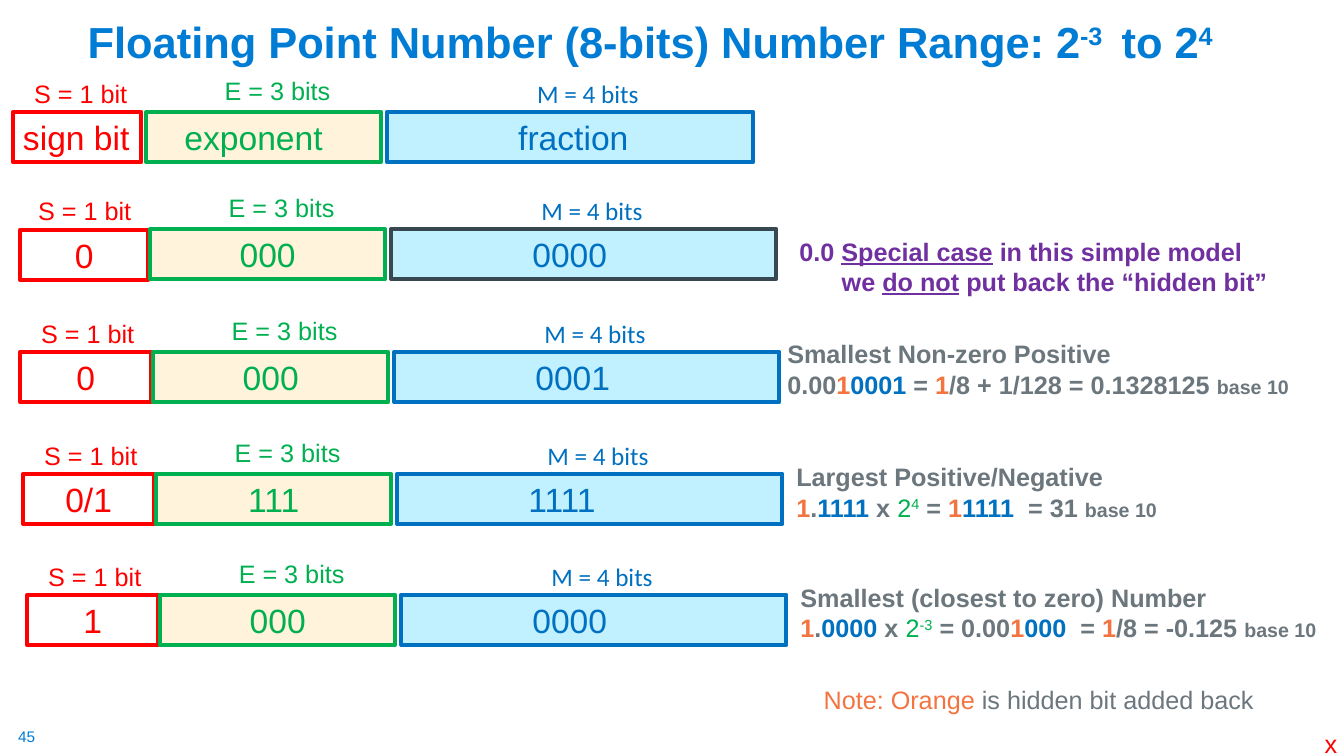
from pptx import Presentation, util as u
from pptx.dml.color import RGBColor
from pptx.enum import shapes as sh, text as tx

PX = 9144  # EMU per px, 100 px to the inch
INK = {
    "title": "007CD5", "red": "FF0000", "green": "00B050", "blue": "0070C0",
    "dark": "384851", "gray": "6B767D", "orange": "F37440", "violet": "7030A0",
    "cream": "FFF4DB", "sky": "C1F0FF",
}
BASE = ("base 10", "gray", "small")


def ink(name):
    return RGBColor.from_string(INK[name])


class Deck:
    def __init__(self, wide, high):
        self.prs = Presentation()
        self.prs.slide_width, self.prs.slide_height = wide * PX, high * PX
        self.slide = self.prs.slides.add_slide(self.prs.slide_layouts[5])
        self.home = self.slide.shapes

    def group(self):
        """Send the next shapes into a new group."""
        self.home = self.slide.shapes.add_group_shape().shapes

    def free(self):
        """Send the next shapes straight onto the slide."""
        self.home = self.slide.shapes

    def fill(self, frame, lines, size, face="Arial", bold=False, align="LEFT"):
        """Fill a frame with lines of (text, colour, marks) runs."""
        for i, line in enumerate(lines):
            para = frame.add_paragraph() if i else frame.paragraphs[0]
            para.alignment = getattr(tx.PP_ALIGN, align)
            for words, hue, *marks in line:
                run = para.add_run()
                run.text = words
                font = run.font
                font.name, font.color.rgb = face, ink(hue)
                font.size = u.Pt(14 if "small" in marks else size)
                font.bold = bold and "light" not in marks
                font.underline = "under" in marks
                if "super" in marks:
                    run._r.get_or_add_rPr().set("baseline", "30000")

    def title(self, spot, line):
        head = self.slide.shapes.title
        head.left, head.top, head.width, head.height = (n * PX for n in spot)
        frame = head.text_frame
        frame.word_wrap = True
        frame.auto_size = tx.MSO_AUTO_SIZE.NONE
        frame.vertical_anchor = tx.MSO_ANCHOR.BOTTOM
        self.fill(frame, [line], 31, bold=True)
        frame.paragraphs[0].line_spacing = 0.9

    def box(self, spot, words, hue, back=None, edge=None, pad=None):
        """Draw a bit field; pad sets a left inset in place of centring."""
        rect = self.home.add_shape(sh.MSO_SHAPE.RECTANGLE, *(n * PX for n in spot))
        rect.shadow.inherit = False
        if back:
            rect.fill.solid()
            rect.fill.fore_color.rgb = ink(back)
        else:
            rect.fill.background()
        rect.line.color.rgb = ink(edge or hue)
        rect.line.width = u.Pt(2.75)
        frame = rect.text_frame
        frame.word_wrap = True
        frame.vertical_anchor = tx.MSO_ANCHOR.MIDDLE
        if pad:
            frame.margin_left = pad * PX
        self.fill(frame, [[(words, hue)]], 24, align="LEFT" if pad else "CENTER")

    def text(self, spot, lines, size=18, wrap=True, inset=10, **style):
        area = self.home.add_textbox(*(n * PX for n in spot))
        frame = area.text_frame
        frame.word_wrap = wrap
        frame.margin_left = frame.margin_right = inset * PX
        frame.margin_top = frame.margin_bottom = inset // 2 * PX
        self.fill(frame, lines, size, **style)
        return frame

    def row(self, x, y, sign, power, part, wide):
        """Draw three fields and their labels; x is the exponent's left edge."""
        self.group()
        self.box((*sign[:3], 50), sign[3], "red", pad=sign[4])
        self.box((x, y, 233, 50), power[0], "green", "cream", pad=power[1])
        self.box((x + 239, y, wide, 50), part[0], "blue", "sky", part[1], part[2])
        for name, dx, dy, span, hue, face in LABELS:
            self.text((x + dx, y + dy, span, 40), [[(name, hue)]], wrap=False, face=face)


LABELS = [
    ("S = 1 bit", -121, -38, 113, "red", "Arial"),
    ("E = 3 bits", 68, -41, 126, "green", "Arial"),
    ("M = 4 bits", 378, -38, 122, "blue", "Calibri"),
]

# exponent x, y, sign (x, y, width, text, pad), exponent, fraction, width, note place, note
ROWS = [
    (145, 111, (13, 111, 127, "sign bit", 10), ("exponent", 38),
     ("fraction", "blue", 130), 363, None, []),
    (149, 227, (20, 228, 127, "0", None), ("000", None),
     ("0000", "dark", 140), 382, (783, 229, 489, 71), [
        [("0.0 ", "violet"), ("Special case", "violet", "under"),
         (" in this simple model", "violet")],
        [("we ", "violet"), ("do not", "violet", "under"),
         (" put back the “hidden bit”", "violet")]]),
    (152, 349, (20, 349, 130, "0", None), ("000", None),
     ("0001", "blue", 140), 382, (771, 331, 522, 71), [
        [("Smallest Non-zero Positive", "gray")],
        [("0.00", "gray"), ("1", "orange"), ("0001", "blue"), (" = ", "gray"),
         ("1", "orange"), ("/8 + 1/128 = 0.1328125 ", "gray"), BASE]]),
    (155, 470, (23, 470, 130, "0/1", None), ("111", None),
     ("1111", "blue", 130), 382, (780, 453, 443, 71), [
        [("Largest Positive/Negative", "gray")],
        [("1", "orange"), (".", "gray"), ("1111", "blue"), (" x ", "gray"),
         ("2", "green", "light"), ("4", "green", "light", "super"), (" = ", "gray"),
         ("1", "orange"), ("1111", "blue"), ("  = 31 ", "gray"), BASE]]),
    (159, 590, (27, 590, 130, "1", None), ("000", None),
     ("0000", "blue", 130), 382, (784, 573, 541, 71), [
        [("Smallest (closest to zero) Number", "gray")],
        [("1", "orange"), (".", "gray"), ("0000", "blue"), (" x ", "gray"),
         ("2", "green", "light"), ("-3", "green", "light", "super"),
         (" = 0.00", "gray"), ("1", "orange"), ("000", "blue"), ("  = ", "gray"),
         ("1", "orange"), ("/8 = -0.125 ", "gray"), BASE]]),
]


def main():
    deck = Deck(1333, 750)
    deck.text((18, 721, 19, 19), [[("45", "title")]], 11, wrap=False, inset=0)
    deck.title((77, 19, 1235, 53), [
        ("Floating Point Number (8-bits) Number Range: 2", "title"),
        ("-3 ", "title", "super"), (" to 2", "title"), ("4", "title", "super")])
    for *cells, spot, note in ROWS:
        deck.row(*cells)
        if note:
            frame = deck.text(spot, note, bold=True)
            if note[0][0][1] == "violet":
                frame.paragraphs[1]._p.get_or_add_pPr().set("marL", str(42 * PX))
    deck.free()
    deck.text((807, 674, 451, 40), [
        [("Note: Orange", "orange"), (" is hidden bit added back", "gray")]])
    deck.text((1304, 718, 33, 40), [[("x", "red")]], wrap=False)
    deck.prs.save("out.pptx")


if __name__ == "__main__":
    main()
